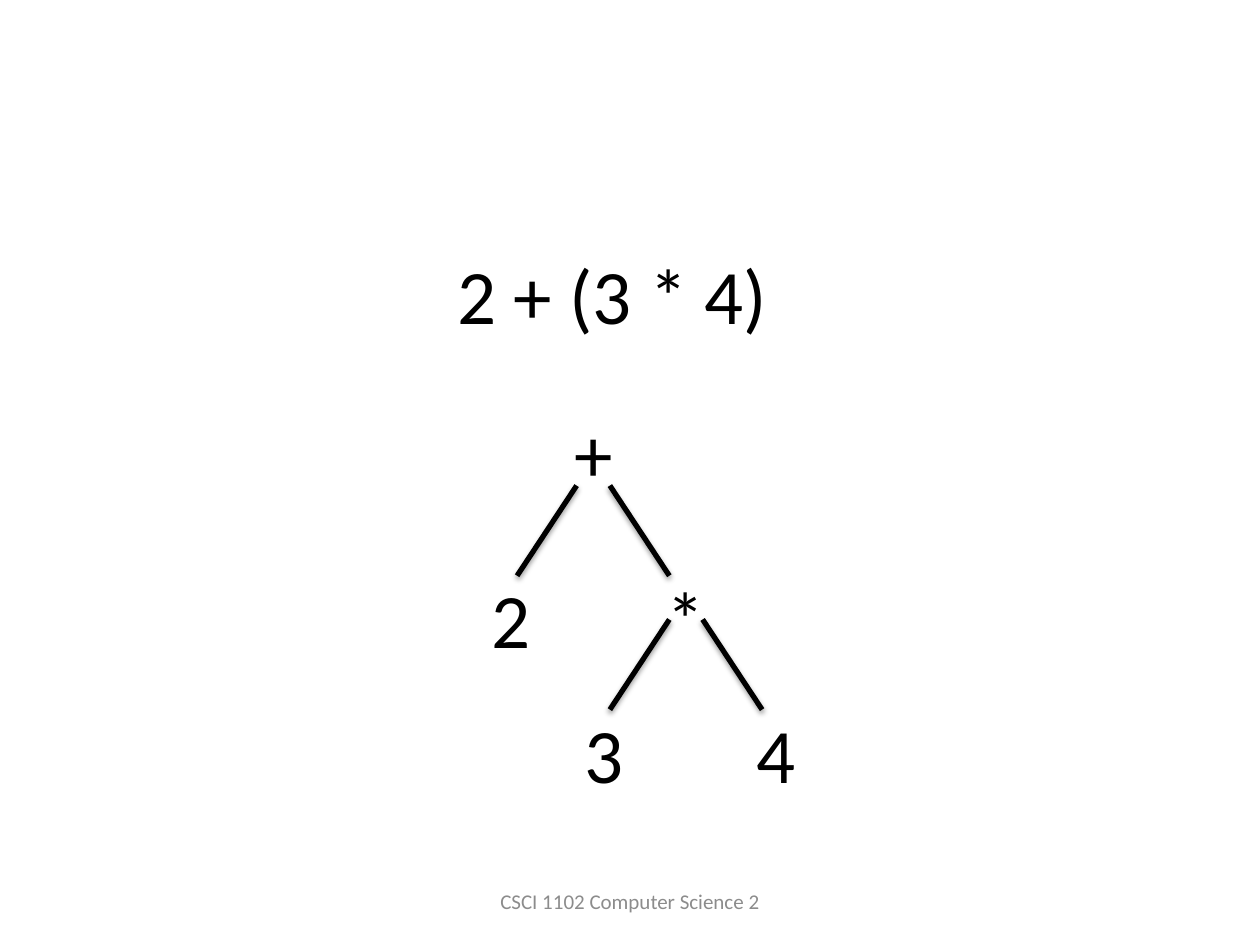
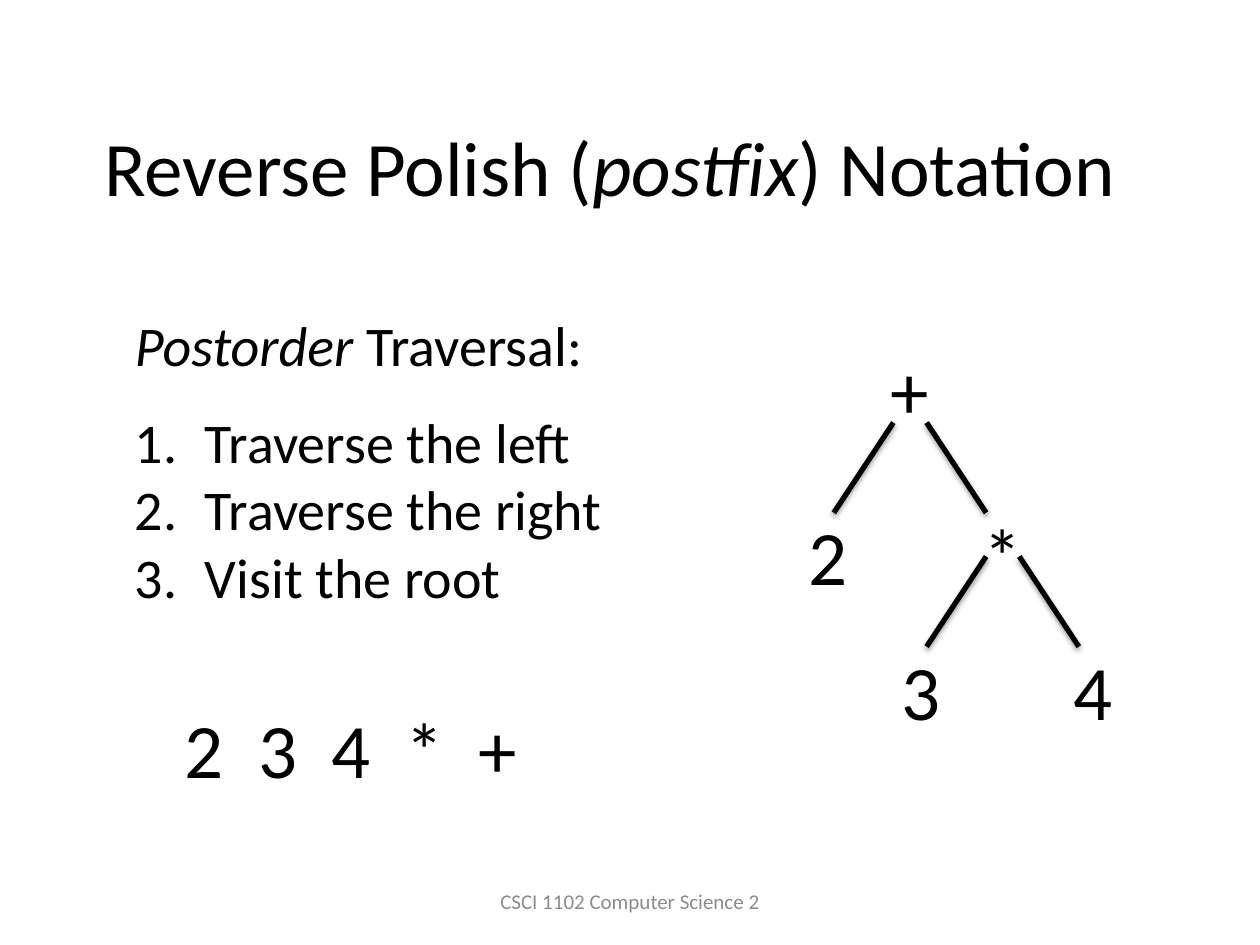
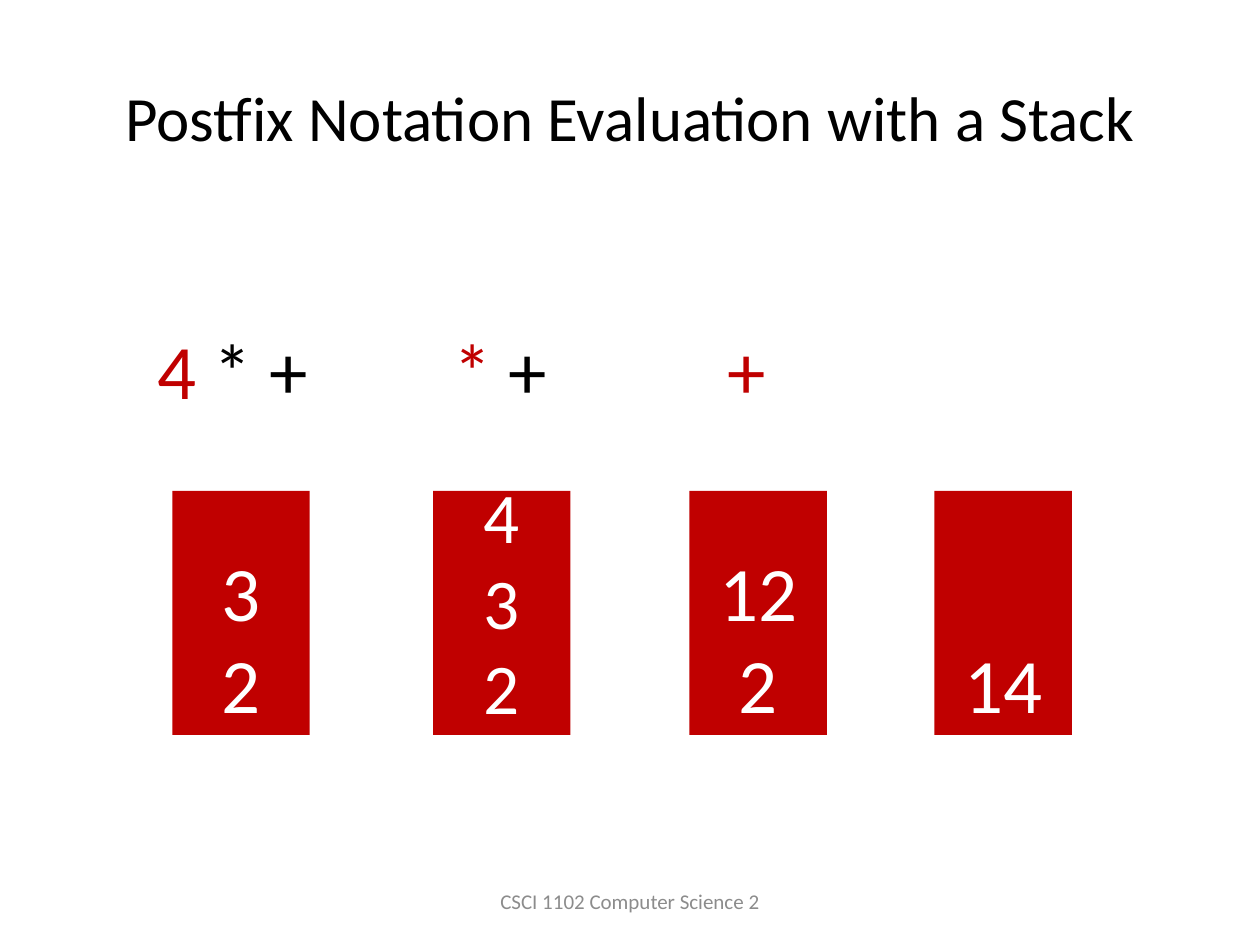
"""Build three slides on expression trees and postfix notation."""
from lxml import etree
from pptx import Presentation
from pptx.dml.color import RGBColor
from pptx.enum import shapes, text
from pptx.oxml import ns
from pptx.util import Pt

COLOURS = {"ink": "000000", "footer": "8C8C8C", "accent": "C00000", "paper": "FFFFFF"}
FONT = "Calibri"
LARGE, MEDIUM, BODY, SMALL = 44, 36, 32, 12
LEFT, CENTRE = text.PP_ALIGN.LEFT, text.PP_ALIGN.CENTER
TOP, MIDDLE, BOTTOM = text.MSO_ANCHOR.TOP, text.MSO_ANCHOR.MIDDLE, text.MSO_ANCHOR.BOTTOM
FOOTER = "CSCI 1102 Computer Science 2"
TAB_STEP = 42
NUMBER_INDENT = 40


def colour(name):
    return RGBColor.from_string(COLOURS[name])


def add_xml(parent, tag, **attributes):
    return etree.SubElement(parent, ns.qn(tag), {key: str(value) for key, value in attributes.items()})


def format_span(span, size, ink, italic=False):
    span.font.name = FONT
    span.font.size = Pt(size)
    span.font.italic = italic
    span.font.color.rgb = colour(ink)


def write(frame, lines, size=LARGE, ink="ink", align=LEFT, anchor=MIDDLE, wrap=True):
    frame.word_wrap = wrap
    frame.auto_size = text.MSO_AUTO_SIZE.NONE
    frame.vertical_anchor = anchor
    frame.text = "\n".join(line if isinstance(line, str) else "" for line in lines)
    for para, line in zip(frame.paragraphs, lines):
        para.alignment = align
        for span in para.runs:
            format_span(span, size, ink)
        if not isinstance(line, str):
            for words, style in line:
                span = para.add_run()
                span.text = words
                format_span(span, size, **{"ink": ink, **style})


def add_title(page, place, words, **style):
    title = page.shapes.title
    title.left, title.top, title.width, title.height = map(Pt, place)
    write(title.text_frame, [words], **style)
    return title.text_frame.paragraphs[0]


def add_text(page, place, lines, **style):
    box = page.shapes.add_textbox(*map(Pt, place))
    write(box.text_frame, lines, **style)
    return box.text_frame


def add_page(deck):
    page = deck.slides.add_slide(deck.slide_layouts[5])
    add_text(page, (246, 500.5, 228, 28.75), [FOOTER], size=SMALL, ink="footer", align=CENTRE)
    return page


def add_branch(page, start, end):
    branch = page.shapes.add_connector(shapes.MSO_CONNECTOR.STRAIGHT, *map(Pt, start + end))
    branch.line.color.rgb = colour("ink")
    branch.line.width = Pt(3)
    effects = add_xml(branch.line._get_or_add_ln().getparent(), "a:effectLst")
    shadow = add_xml(effects, "a:outerShdw", blurRad=Pt(3.1), dist=Pt(1.6), dir=5400000, rotWithShape=0)
    add_xml(add_xml(shadow, "a:srgbClr", val=COLOURS["ink"]), "a:alpha", val=38000)


def add_tree(page, left, top):
    nodes = [("+", 0, 0, MIDDLE), ("2", -47, 95, TOP), ("*", 53, 94, MIDDLE),
             ("3", 6, 172, TOP), ("4", 104.5, 172, TOP)]
    for symbol, across, down, anchor in nodes:
        add_text(page, (left + across, top + down, 36.5, 60.5), [symbol], anchor=anchor, wrap=False)
    for across, down in [(18, 49.5), (71, 126)]:
        for side in (1, -1):
            x, y = left + across, top + down
            add_branch(page, (x + side * 9.5, y), (x + side * 43.5, y + 51.5))


def add_stack(page, left, values, size):
    box = page.shapes.add_shape(shapes.MSO_SHAPE.RECTANGLE, *map(Pt, (left, 280.5, 78.5, 139.5)))
    box.shadow.inherit = False
    box.fill.solid()
    box.fill.fore_color.rgb = colour("accent")
    box.line.fill.background()
    write(box.text_frame, values, size=size, ink="paper", align=CENTRE, anchor=BOTTOM)


def number(para):
    properties = para._p.get_or_add_pPr()
    properties.set("marL", str(Pt(NUMBER_INDENT)))
    properties.set("indent", str(-Pt(NUMBER_INDENT)))
    add_xml(properties, "a:buFont", typeface="+mj-lt")
    add_xml(properties, "a:buAutoNum", type="arabicPeriod")


def build_expression(deck):
    page = add_page(deck)
    add_title(page, (26, 123, 648, 90), "2 + (3 * 4)", align=CENTRE)
    add_tree(page, 321, 228)


def build_postorder(deck):
    page = add_page(deck)
    symbols = ["2", "3", "4", "*", "+"]
    para = add_title(page, (98.5, 382.5, 220, 90), "\t".join(symbols))
    tabs = add_xml(para._p.get_or_add_pPr(), "a:tabLst")
    for stop in range(1, len(symbols)):
        add_xml(tabs, "a:tab", pos=Pt(stop * TAB_STEP), algn="l")
    add_tree(page, 502, 192)
    steps = [[("Postorder", {"italic": True}), (" Traversal:", {})],
             "Traverse the left", "Traverse the right", "Visit the root"]
    frame = add_text(page, (70, 174, 284.5, 179), steps, size=BODY, anchor=TOP, wrap=False)
    frame.paragraphs[1].space_before = Pt(17)
    for para in frame.paragraphs[1:]:
        number(para)
    heading = [("Reverse Polish (", {}), ("postfix", {"italic": True}), (") Notation", {})]
    add_text(page, (24.5, 49.5, 648, 90), [heading], align=CENTRE)


def build_evaluation(deck):
    page = add_page(deck)
    add_title(page, (36, 21.6, 648, 90), "Postfix Notation Evaluation with a Stack",
              size=MEDIUM, align=CENTRE)
    states = [(98.5, "4", " * +", 0, ["3", "2"], LARGE),
              (247.5, "*", " +", 20, ["4", "3", "2"], 40.7),
              (394, "+", "", 30, ["12", "2"], LARGE),
              (534, "", "", 0, ["14"], LARGE)]
    for left, current, rest, indent, values, size in states:
        add_stack(page, left, values, size)
        if current:
            spans = [(current, {"ink": "accent"})] + ([(rest, {})] if rest else [])
            frame = add_text(page, (left - 15.75, 165.5, 110, 90), [spans])
            frame.margin_left = Pt(7.2 + indent)


def main():
    deck = Presentation()
    deck.slide_width, deck.slide_height = Pt(720), Pt(540)
    build_expression(deck)
    build_postorder(deck)
    build_evaluation(deck)
    deck.save("out.pptx")


if __name__ == "__main__":
    main()
